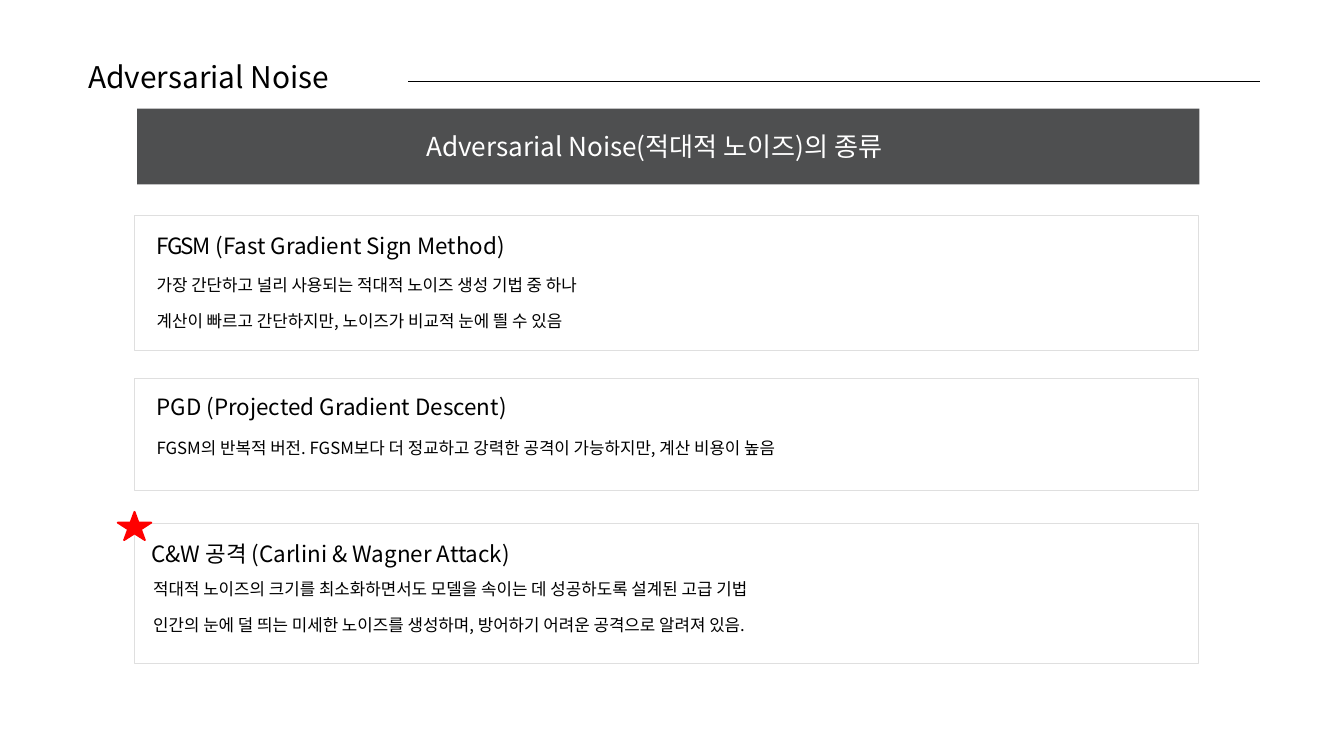
"""Build a slide that lists three kinds of adversarial noise."""
from dataclasses import dataclass

from lxml import etree
from pptx import Presentation
from pptx.dml.color import RGBColor
from pptx.enum.shapes import MSO_CONNECTOR, MSO_SHAPE
from pptx.enum.text import PP_ALIGN
from pptx.oxml.ns import qn
from pptx.util import Cm, Pt

STRAIGHT = MSO_CONNECTOR.STRAIGHT
RECTANGLE, STAR = MSO_SHAPE.RECTANGLE, MSO_SHAPE.STAR_5_POINT
LEFT, CENTER = PP_ALIGN.LEFT, PP_ALIGN.CENTER


@dataclass(frozen=True)
class Theme:
    font: str = "Noto Sans CJK KR"
    black: RGBColor = RGBColor(0, 0, 0)
    white: RGBColor = RGBColor(255, 255, 255)
    banner: RGBColor = RGBColor(0x4E, 0x4F, 0x50)
    border: RGBColor = RGBColor(0xDF, 0xDF, 0xDF)
    red: RGBColor = RGBColor(255, 0, 0)
    title_size: Pt = Pt(32)
    banner_size: Pt = Pt(28)
    heading_size: Pt = Pt(24)
    body_size: Pt = Pt(18)
    paragraph_gap: Pt = Pt(17)
    hairline: Pt = Pt(0.75)


THEME = Theme()


def add_figure(kind, box, fill, border=None, weight=THEME.hairline):
    figure = slide.shapes.add_shape(kind, *map(Cm, box))
    figure.shadow.inherit = False
    figure.fill.solid()
    figure.fill.fore_color.rgb = fill
    if border is None:
        figure.line.fill.background()
    else:
        figure.line.color.rgb = border
        figure.line.width = weight


def add_text(box, paragraphs, size, color=THEME.black, align=LEFT, spacing=None):
    frame = slide.shapes.add_textbox(*map(Cm, box)).text_frame
    frame.word_wrap = True
    frame.margin_left = frame.margin_right = frame.margin_top = frame.margin_bottom = 0
    for index, runs in enumerate(paragraphs):
        paragraph = frame.add_paragraph() if index else frame.paragraphs[0]
        if index:
            paragraph.space_before = THEME.paragraph_gap
        paragraph.alignment = align
        paragraph.line_spacing = spacing
        font = paragraph.font
        font.name, font.size, font.color.rgb = THEME.font, size, color
        latin = font._element.find(qn("a:latin"))
        east_asian = etree.Element(qn("a:ea"), typeface=THEME.font)
        latin.addnext(east_asian)
        for text, tracking in runs:
            run = paragraph.add_run()
            run.text = text
            if tracking:
                run._r.get_or_add_rPr().set("spc", str(tracking))


presentation = Presentation()
presentation.slide_width, presentation.slide_height = Cm(50.8), Cm(28.58)
slide = presentation.slides.add_slide(presentation.slide_layouts[6])

add_text((3.33, 2.21, 10.39, 1.37), [[("Adversarial Noise", 0)]], THEME.title_size)
title_rule = slide.shapes.add_connector(STRAIGHT, Cm(15.44), Cm(3.07), Cm(47.63), Cm(3.07))
title_rule.line.color.rgb = THEME.black
title_rule.line.width = THEME.hairline
etree.SubElement(title_rule._element.spPr, qn("a:effectLst"))

add_figure(RECTANGLE, (5.18, 4.11, 40.16, 2.86), THEME.banner)
add_text((10.8, 4.98, 27.86, 1.14), [[("Adversarial Noise(적대적 노이즈)의 종류", 0)]],
         THEME.banner_size, THEME.white, CENTER, Pt(32.1))

attacks = [
    ((8.15, 5.08), (5.92, 8.69, 20.12, 2.21), Pt(31.5),
     [("FGSM", -180), (" (Fast Gradient Sign Method)", 0)],
     (5.92, 10.39, 33.45, 3),
     ["가장 간단하고 널리 사용되는 적대적 노이즈 생성 기법 중 하나",
      "계산이 빠르고 간단하지만, 노이즈가 비교적 눈에 띌 수 있음"]),
    ((14.3, 4.24), (5.92, 14.88, 14.61, 1.02), None,
     [("PGD (Projected Gradient Descent)", 0)],
     (5.92, 16.56, 39.17, 1.45),
     ["FGSM의 반복적 버전. FGSM보다 더 정교하고 강력한 공격이 가능하지만, 계산 비용이 높음"]),
    ((19.79, 5.29), (5.72, 20.42, 14.61, 1.02), None,
     [("C&W 공격 (Carlini & Wagner Attack)", 0)],
     (5.79, 21.89, 39.17, 2.31),
     ["적대적 노이즈의 크기를 최소화하면서도 모델을 속이는 데 성공하도록 설계된 고급 기법",
      "인간의 눈에 덜 띄는 미세한 노이즈를 생성하며, 방어하기 어려운 공격으로 알려져 있음."]),
]
for (top, height), heading_box, spacing, heading, body_box, body in attacks:
    add_figure(RECTANGLE, (5.08, top, 40.21, height), THEME.white, THEME.border)
    add_text(heading_box, [heading], THEME.heading_size, spacing=spacing)
    add_text(body_box, [[(sentence, 0)] for sentence in body], THEME.body_size)

add_figure(STAR, (4.45, 19.35, 1.27, 1.07), THEME.red, THEME.red, Pt(2))

presentation.save("out.pptx")
